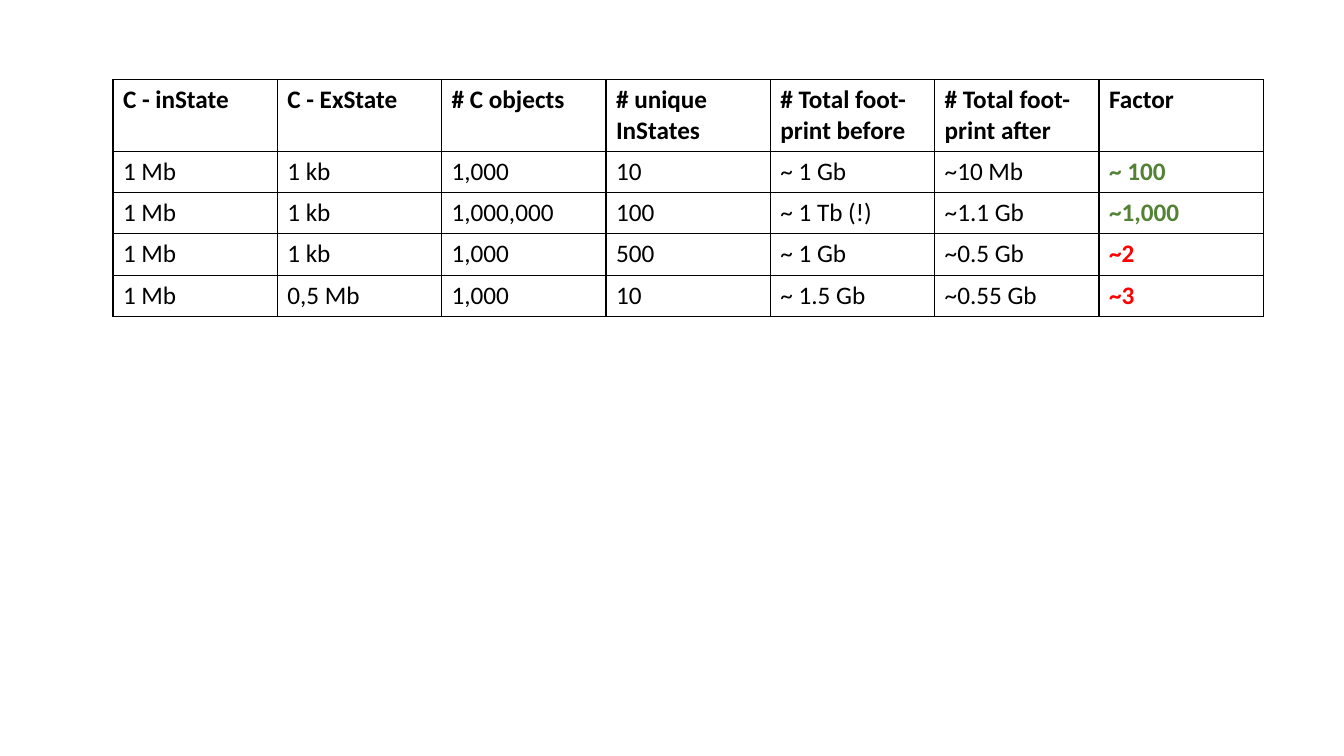
from lxml.etree import SubElement
from pptx import Presentation
from pptx.dml.color import RGBColor
from pptx.oxml.ns import qn
from pptx.util import Pt

EMU_PER_PX = 9144  # 100 px to the inch
BLACK, WHITE, GREEN, RED = "000000", "FFFFFF", "548235", "FF0000"

HEADINGS = ["C - inState", "C - ExState", "# C objects", "# unique InStates",
            "# Total foot-print before", "# Total foot-print after", "Factor"]
SCENARIOS = [
    ["1 Mb", "1 kb", "1,000", "10", "~ 1 Gb", "~10 Mb", "~ 100"],
    ["1 Mb", "1 kb", "1,000,000", "100", "~ 1 Tb (!)", "~1.1 Gb", "~1,000"],
    ["1 Mb", "1 kb", "1,000", "500", "~ 1 Gb", "~0.5 Gb", "~2"],
    ["1 Mb", "0,5 Mb", "1,000", "10", "~ 1.5 Gb", "~0.55 Gb", "~3"],
]
FACTOR_COLORS = [GREEN, GREEN, RED, RED]
HEADING_HEIGHT, SCENARIO_HEIGHT = 70, 41

BODY = {"name": "Calibri", "size": Pt(18), "bold": False}
STRONG = {**BODY, "bold": True}


def px(length):
    return length * EMU_PER_PX


def color(hex_value):
    return RGBColor.from_string(hex_value)


def add_borders(cell, hex_value, width):
    properties = cell._tc.get_or_add_tcPr()
    for side in ("L", "R", "T", "B"):
        border = SubElement(properties, qn(f"a:ln{side}"), w=str(width))
        solid = SubElement(border, qn("a:solidFill"))
        SubElement(solid, qn("a:srgbClr"), val=hex_value)


def fill_cell(cell, wording, text_format, hex_value):
    add_borders(cell, BLACK, Pt(1))
    cell.fill.solid()
    cell.fill.fore_color.rgb = color(WHITE)
    run = cell.text_frame.paragraphs[0].add_run()
    run.text = wording
    for attribute, value in text_format.items():
        setattr(run.font, attribute, value)
    run.font.color.rgb = color(hex_value)


def add_footprint_table(slide, left, top, column_width):
    heights = [HEADING_HEIGHT] + [SCENARIO_HEIGHT] * len(SCENARIOS)
    footprints = slide.shapes.add_table(
        len(heights), len(HEADINGS), px(left), px(top),
        px(column_width * len(HEADINGS)), px(sum(heights))).table
    footprints.horz_banding = False
    footprints.first_row = False
    for column in footprints.columns:
        column.width = px(column_width)
    for row, height in zip(footprints.rows, heights):
        row.height = px(height)

    # Heading row
    for cell, heading in zip(footprints.rows[0].cells, HEADINGS):
        fill_cell(cell, heading, STRONG, BLACK)

    # Scenario rows, each ending in a coloured factor
    for number, (scenario, factor_color) in enumerate(zip(SCENARIOS, FACTOR_COLORS), 1):
        *sizes, factor = scenario
        for index, size in enumerate(sizes):
            fill_cell(footprints.cell(number, index), size, BODY, BLACK)
        fill_cell(footprints.cell(number, len(sizes)), factor, STRONG, factor_color)


def main():
    presentation = Presentation()
    presentation.slide_width = px(1333)
    presentation.slide_height = px(750)
    slide = presentation.slides.add_slide(presentation.slide_layouts[6])
    add_footprint_table(slide, left=112, top=79, column_width=163)
    presentation.save("out.pptx")


if __name__ == "__main__":
    main()
